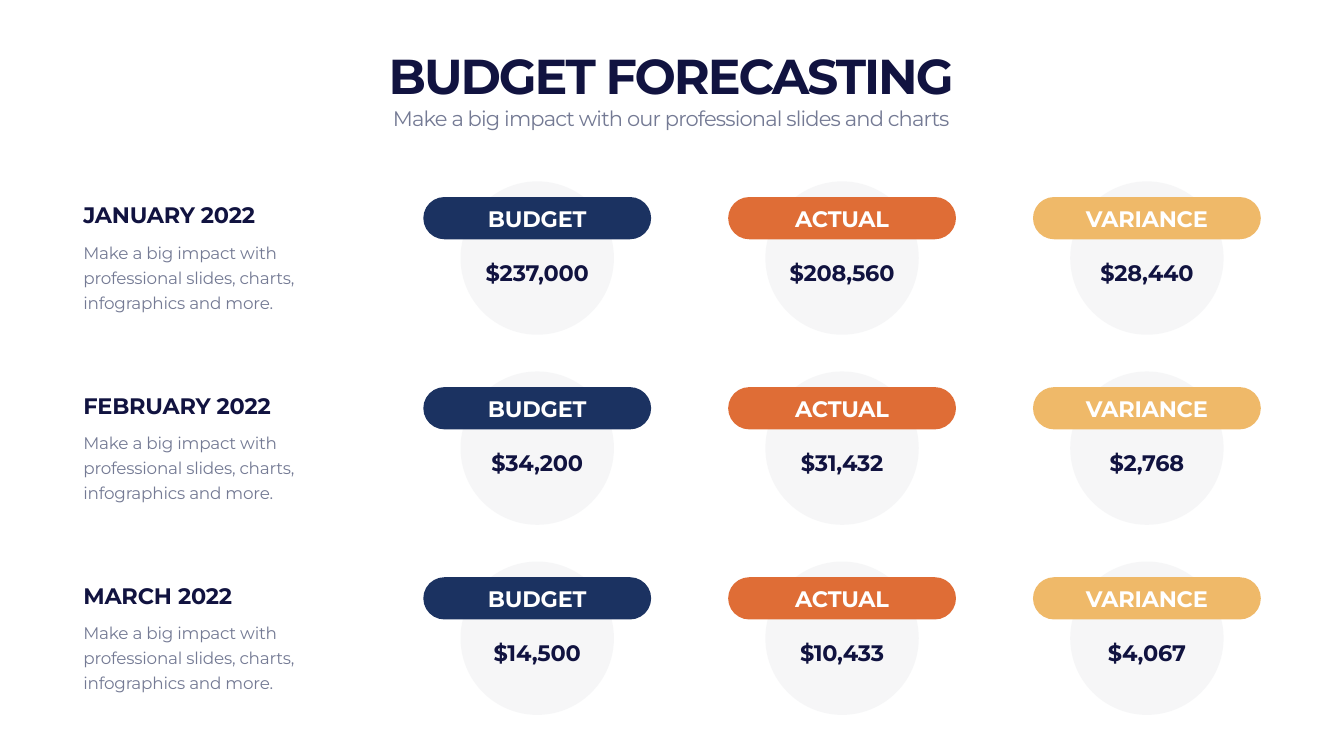
from dataclasses import dataclass

from pptx import Presentation
from pptx.dml.color import RGBColor
from pptx.enum.shapes import MSO_SHAPE
from pptx.enum.text import MSO_ANCHOR, MSO_AUTO_SIZE, PP_ALIGN
from pptx.oxml.ns import qn
from pptx.shapes.autoshape import Shape
from pptx.slide import Slide
from pptx.util import Cm, Pt
from lxml import etree

OVAL, PILL = MSO_SHAPE.OVAL, MSO_SHAPE.ROUNDED_RECTANGLE
LEFT, CENTER = PP_ALIGN.LEFT, PP_ALIGN.CENTER
TOP, BOTTOM = MSO_ANCHOR.TOP, MSO_ANCHOR.BOTTOM
FIT_TEXT = MSO_AUTO_SIZE.SHAPE_TO_FIT_TEXT

FONT = "Montserrat"
NAVY, GREY, WHITE, DISC = "111340", "747A94", "FFFFFF", "C3C8CE"
DISC_OPACITY = 15

# Grid, in centimetres
SLIDE_WIDTH, SLIDE_HEIGHT = 67.72, 38.1
FIRST_CENTER, COLUMN_STEP = 27.07, 15.36
FIRST_ROW, ROW_STEP = 9.14, 9.58
DISC_SIZE = 7.73
PILL_WIDTH, PILL_HEIGHT = 11.48, 2.13
HEADING_HEIGHT = 1.63


@dataclass(frozen=True)
class Style:
    size: float
    color: str
    bold: bool = False
    spacing: float = -0.3
    line: float | None = None
    align: PP_ALIGN = CENTER
    anchor: MSO_ANCHOR = TOP


@dataclass(frozen=True)
class Column:
    label: str
    color: str


@dataclass(frozen=True)
class Month:
    name: str
    amounts: tuple[str, ...]


TITLE = Style(70, NAVY, bold=True, spacing=-2.9, line=94, anchor=BOTTOM)
SUBTITLE = Style(30, GREY, spacing=-1.2)
MONTH_NAME = Style(32, NAVY, bold=True, align=LEFT, anchor=BOTTOM)
MONTH_NOTE = Style(24, GREY, line=36, align=LEFT)
LABEL = Style(32, WHITE, bold=True, anchor=BOTTOM)
AMOUNT = Style(32, NAVY, bold=True)

NOTE = "Make a big impact with professional slides, charts, infographics and more."
COLUMNS = [
    Column("BUDGET", "1B3261"),
    Column("ACTUAL", "DF6D36"),
    Column("VARIANCE", "EFB969"),
]
MONTHS = [
    Month("JANUARY 2022", ("$237,000", "$208,560", "$28,440")),
    Month("FEBRUARY 2022", ("$34,200", "$31,432", "$2,768")),
    Month("MARCH 2022", ("$14,500", "$10,433", "$4,067")),
]


def rgb(color: str) -> RGBColor:
    return RGBColor.from_string(color)


def add_text(page: Slide, text: str, style: Style, left: float, top: float,
             width: float, height: float) -> None:
    box = page.shapes.add_textbox(Cm(left), Cm(top), Cm(width), Cm(height))
    frame = box.text_frame
    frame.word_wrap = True
    frame.auto_size = FIT_TEXT
    frame.vertical_anchor = style.anchor
    para = frame.paragraphs[0]
    para.alignment = style.align
    if style.line:
        para.line_spacing = Pt(style.line)
    span = para.add_run()
    span.text = text
    span.font.name = FONT
    span.font.size = Pt(style.size)
    span.font.bold = style.bold
    span.font.color.rgb = rgb(style.color)
    span.font._element.set("spc", str(round(style.spacing * 100)))


def add_filled(page: Slide, kind: MSO_SHAPE, color: str, center: float, top: float,
               width: float, height: float) -> Shape:
    shape = page.shapes.add_shape(kind, Cm(center - width / 2), Cm(top), Cm(width), Cm(height))
    shape.shadow.inherit = False
    shape.fill.solid()
    shape.fill.fore_color.rgb = rgb(color)
    shape.line.fill.background()
    return shape


def set_opacity(shape: Shape, percent: int) -> None:
    color = shape._element.spPr.find(qn("a:solidFill")).find(qn("a:srgbClr"))
    etree.SubElement(color, qn("a:alpha")).set("val", str(percent * 1000))


def add_figure(page: Slide, column: Column, amount: str, center: float, top: float) -> None:
    disc = add_filled(page, OVAL, DISC, center, top, DISC_SIZE, DISC_SIZE)
    set_opacity(disc, DISC_OPACITY)
    pill = add_filled(page, PILL, column.color, center, top + 0.79, PILL_WIDTH, PILL_HEIGHT)
    pill.adjustments[0] = 0.5
    label_width, amount_width = 9.93, 7.06
    add_text(page, column.label, LABEL, center - label_width / 2, top + 1.03,
             label_width, HEADING_HEIGHT)
    add_text(page, amount, AMOUNT, center - amount_width / 2, top + 3.78,
             amount_width, HEADING_HEIGHT)


def add_month(page: Slide, month: Month, top: float) -> None:
    left, width = 3.95, 12.83
    add_text(page, month.name, MONTH_NAME, left, top + 0.87, width, HEADING_HEIGHT)
    add_text(page, NOTE, MONTH_NOTE, left, top + 2.7, width, 3.99)
    for index, (column, amount) in enumerate(zip(COLUMNS, month.amounts)):
        add_figure(page, column, amount, FIRST_CENTER + index * COLUMN_STEP, top)


def main() -> None:
    deck = Presentation()
    deck.slide_width, deck.slide_height = Cm(SLIDE_WIDTH), Cm(SLIDE_HEIGHT)
    page = deck.slides.add_slide(deck.slide_layouts[6])
    page.background.fill.solid()
    page.background.fill.fore_color.rgb = rgb(WHITE)

    # Heading
    add_text(page, "BUDGET FORECASTING", TITLE, 4.19, 1.88, 59.26, 3.51)
    add_text(page, "Make a big impact with our professional slides and charts",
             SUBTITLE, 4.19, 5.21, 59.26, 1.55)

    # One row per month
    for index, month in enumerate(MONTHS):
        add_month(page, month, FIRST_ROW + index * ROW_STEP)

    deck.save("out.pptx")


if __name__ == "__main__":
    main()
